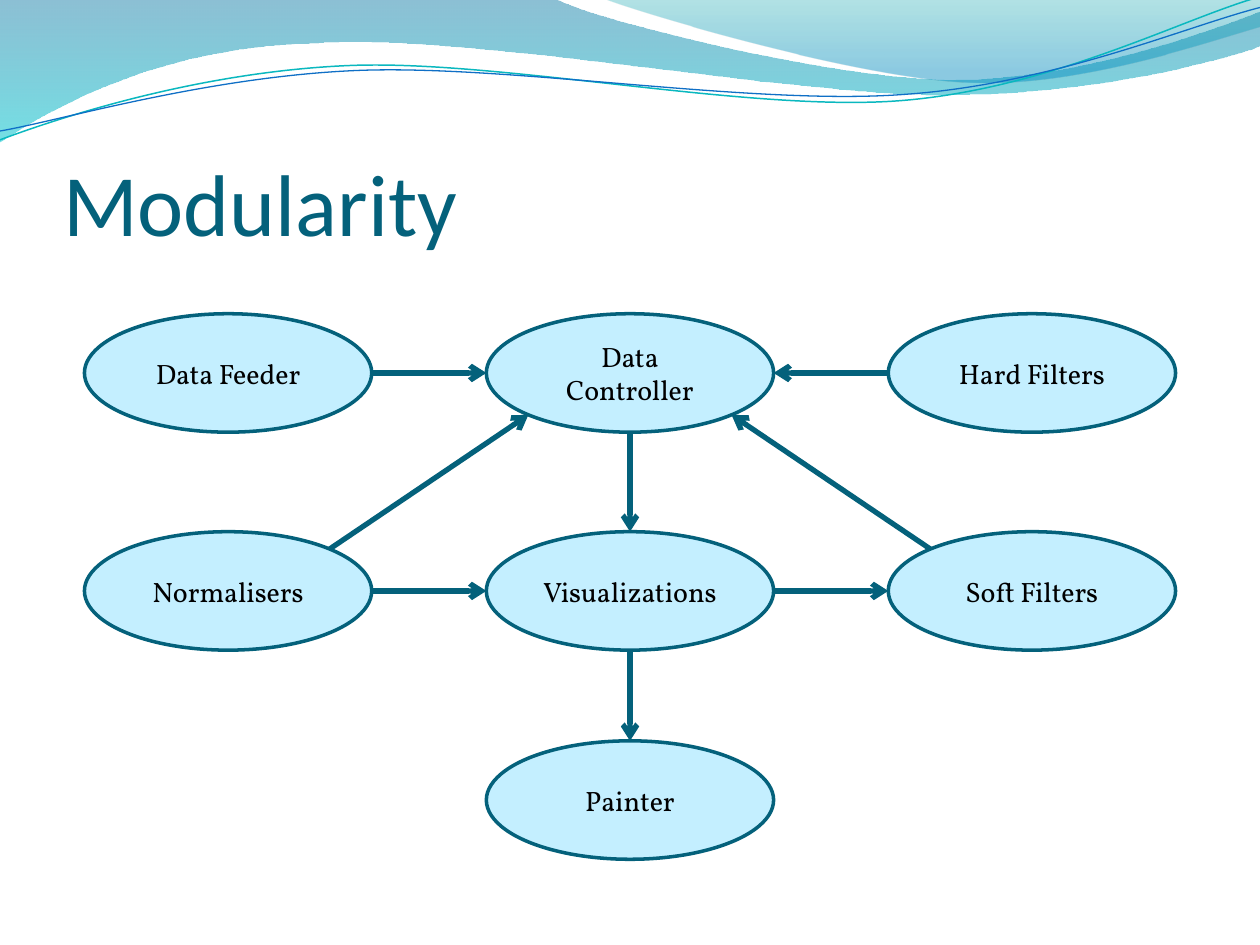
from math import cos, pi, radians, sin

from lxml.etree import SubElement
from pptx import Presentation
from pptx.dml.color import RGBColor
from pptx.enum.shapes import MSO_CONNECTOR as Link, MSO_SHAPE as Preset
from pptx.enum.text import MSO_ANCHOR as Anchor, MSO_AUTO_SIZE as Fit, PP_ALIGN as Align
from pptx.oxml.ns import qn
from pptx.util import Inches, Pt

WIDTH, HEIGHT = 10, 7.5
DARK, PALE, BLACK = "04617B", "C4EFFF", "000000"
OVAL_WIDTH, OVAL_HEIGHT = 2.28, 0.94
COLUMNS = [0.67 + 3.19 * column for column in range(3)]
ROWS = [2.49, 4.22, 5.88]
TILT = 2.7

MODULES = {
    "Data Feeder": (0, 0), "Visualizations": (1, 1), "Hard Filters": (2, 0),
    "Soft Filters": (2, 1), "Normalisers": (0, 1), "Data Controller": (1, 0),
    "Painter": (1, 2),
}
TOP, UPPER_LEFT, LEFT, LOWER_LEFT, BOTTOM, LOWER_RIGHT, RIGHT, UPPER_RIGHT = range(8)
FLOWS = [
    ("Data Feeder", RIGHT, "Data Controller", LEFT),
    ("Data Controller", BOTTOM, "Visualizations", TOP),
    ("Normalisers", RIGHT, "Visualizations", LEFT),
    ("Hard Filters", LEFT, "Data Controller", RIGHT),
    ("Visualizations", RIGHT, "Soft Filters", LEFT),
    ("Soft Filters", UPPER_LEFT, "Data Controller", LOWER_RIGHT),
    ("Visualizations", BOTTOM, "Painter", TOP),
    ("Normalisers", UPPER_RIGHT, "Data Controller", LOWER_LEFT),
]

BANDS = [
    ([[(0, 0)], [(4.4, -0.01)],
      [(4.76, 0.17), (6.64, 0.63), (7.58, 0.63)],
      [(8.53, 0.63), (9.58, 0.26), (10, 0.09)], [(10.01, 0.36)],
      [(9.83, 0.44), (8.7, 0.76), (7.46, 0.75)],
      [(6.22, 0.75), (3.82, 0.28), (2.57, 0.34)],
      [(1.29, 0.36), (0.46, 0.83), (-0.01, 1.13)], [(0, 0)]],
     [(0, "0074A1", 45), (1, "00C6CF", 55)]),
    ([[(4.79, -0.01)],
      [(5.09, 0.11), (6.82, 0.62), (7.69, 0.65)],
      [(8.56, 0.69), (9.61, 0.32), (10, 0.21)], [(10, 0)], [(4.79, -0.01)]],
     [(0, "00A1A9", 30), (0.8, "008BBF", 45)]),
]
STRANDS = [
    ([[(0, 1.11)], [(0.48, 0.93), (1.58, 0.57), (2.77, 0.52)],
      [(3.95, 0.47), (5.93, 0.89), (7.13, 0.8)],
      [(8.33, 0.71), (9.38, 0.15), (9.98, -0.02)]], (4.99, 0.58), "0AB8BF", 0.85),
    ([[(0, 1.04)], [(0.47, 0.96), (1.64, 0.61), (2.83, 0.56)],
      [(4.03, 0.51), (5.97, 0.84), (7.17, 0.75)],
      [(8.36, 0.67), (9.41, 0.21), (10, 0.06)]], (5, 0.59), "0F6FC6", 0.75),
]


def set_values(target, values):
    for name, value in values.items():
        setattr(target, name, value)


def color(hex_text):
    return RGBColor.from_string(hex_text)


def set_line(shape, hex_text, width):
    shape.line.color.rgb = color(hex_text)
    shape.line.width = Pt(width)


def write(shape, text, frame_values, align, font_values, hex_text):
    frame = shape.text_frame
    set_values(frame, frame_values)
    para = frame.paragraphs[0]
    para.alignment = align
    span = para.add_run()
    span.text = text
    set_values(span.font, font_values)
    span.font.color.rgb = color(hex_text)


def turn(point, center, degrees):
    angle = radians(degrees)
    x, y = point[0] - center[0], point[1] - center[1]
    return (center[0] + x * cos(angle) - y * sin(angle),
            center[1] + x * sin(angle) + y * cos(angle))


def add_wave(page, segments, close):
    start, *rest = [(Inches(x), Inches(y)) for segment in segments for x, y in segment]
    builder = page.shapes.build_freeform(*start)
    builder.add_line_segments(rest, close=close)
    wave = builder.convert_to_shape()
    wave.shadow.inherit = False
    steps = iter(wave.element.findall(".//" + qn("a:lnTo")))
    for segment in segments[1:]:
        first, *others = [next(steps) for _ in segment]
        if others:
            curve = first.makeelement(qn("a:cubicBezTo"))
            first.addprevious(curve)
            for step in (first, *others):
                curve.append(step[0])
                step.getparent().remove(step)
    return wave


def add_waves(page):
    for segments, stops in BANDS:
        band = add_wave(page, segments, True)
        band.line.fill.background()
        band.fill.gradient()
        band.fill.gradient_angle = 270
        for stop, (position, hex_text, opacity) in zip(band.fill.gradient_stops, stops):
            stop.position = position
            stop.color.rgb = color(hex_text)
        tints = band.element.spPr.findall(".//" + qn("a:srgbClr"))
        for tint, (_, _, opacity) in zip(tints, stops):
            SubElement(tint, qn("a:alpha"), val=str(opacity * 1000))
    for segments, center, hex_text, width in STRANDS:
        level = [[turn(point, center, TILT) for point in segment] for segment in segments]
        strand = add_wave(page, level, False)
        strand.rotation = -TILT
        strand.fill.background()
        set_line(strand, hex_text, width)


def add_title(page, text, left, top, width, height):
    title = page.shapes.title
    title.element.getparent().append(title.element)
    set_values(title, {"left": Inches(left), "top": Inches(top),
                       "width": Inches(width), "height": Inches(height)})
    write(title, text,
          {"vertical_anchor": Anchor.BOTTOM, "auto_size": Fit.NONE, "word_wrap": True,
           "margin_left": 0, "margin_right": 0, "margin_top": Inches(0.05), "margin_bottom": 0},
          Align.LEFT, {"name": "Calibri", "size": Pt(50)}, DARK)


def add_module(page, name, column, row):
    oval = page.shapes.add_shape(Preset.OVAL, Inches(COLUMNS[column]), Inches(ROWS[row]),
                                 Inches(OVAL_WIDTH), Inches(OVAL_HEIGHT))
    oval.shadow.inherit = False
    oval.fill.solid()
    oval.fill.fore_color.rgb = color(PALE)
    set_line(oval, DARK, 2)
    write(oval, name, {"vertical_anchor": Anchor.MIDDLE, "word_wrap": True},
          Align.CENTER, {"name": "Vollkorn", "size": Pt(16)}, BLACK)
    return oval


def site_point(oval, site):
    angle = site * pi / 4
    return (round(oval.left + oval.width / 2 * (1 - sin(angle))),
            round(oval.top + oval.height / 2 * (1 - cos(angle))))


def add_flow(page, source, source_site, target, target_site):
    arrow = page.shapes.add_connector(Link.STRAIGHT, *site_point(source, source_site),
                                      *site_point(target, target_site))
    set_line(arrow, DARK, 3)
    SubElement(arrow.element.spPr.find(qn("a:ln")), qn("a:tailEnd"), type="arrow")
    SubElement(arrow.element.spPr, qn("a:effectLst"))
    joints = arrow.element.find(".//" + qn("p:cNvCxnSpPr"))
    for tag, oval, site in (("a:stCxn", source, source_site), ("a:endCxn", target, target_site)):
        SubElement(joints, qn(tag), id=str(oval.shape_id), idx=str(site))


def add_diagram(page):
    ovals = {name: add_module(page, name, *cell) for name, cell in MODULES.items()}
    for source, source_site, target, target_site in FLOWS:
        add_flow(page, ovals[source], source_site, ovals[target], target_site)


deck = Presentation()
set_values(deck, {"slide_width": Inches(WIDTH), "slide_height": Inches(HEIGHT)})
page = deck.slides.add_slide(deck.slide_layouts.get_by_name("Title Only"))
add_waves(page)
add_title(page, "Modularity", 0.05 * WIDTH, 0.77, 0.9 * WIDTH, 1.25)
add_diagram(page)
deck.save("out.pptx")
